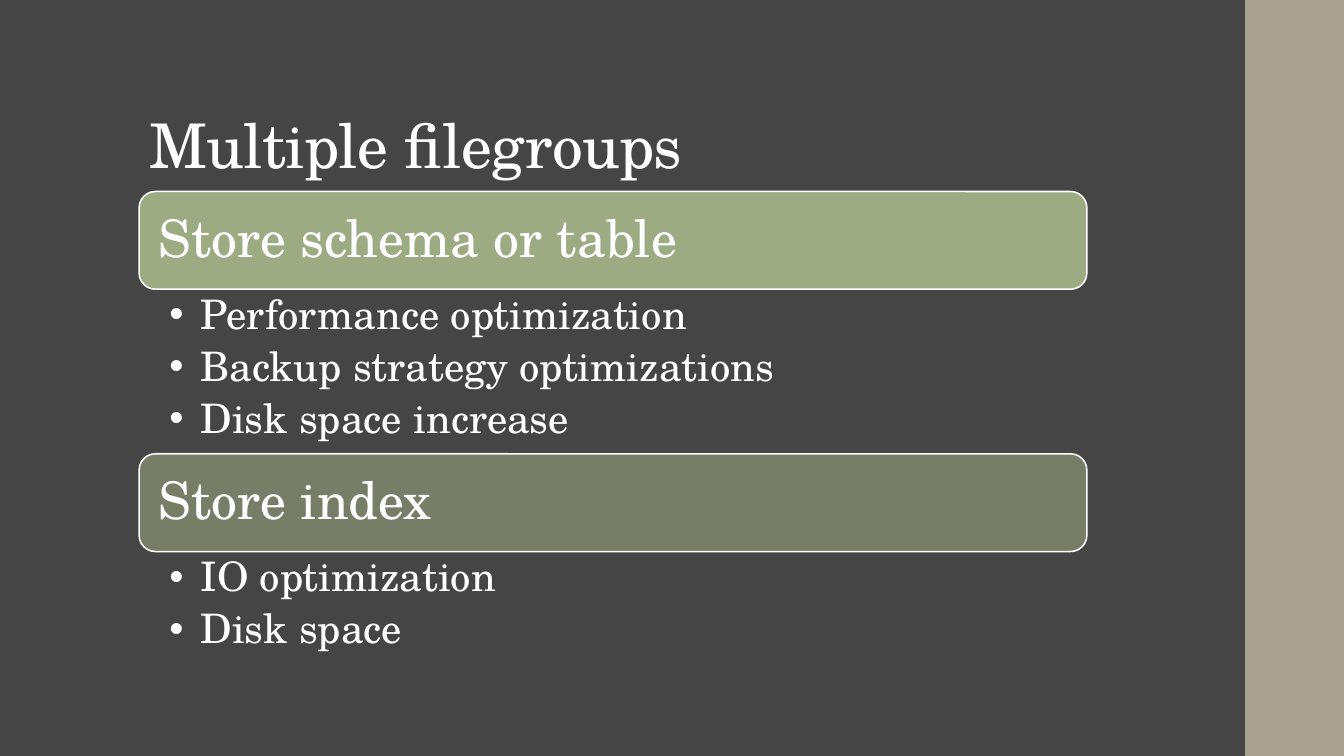
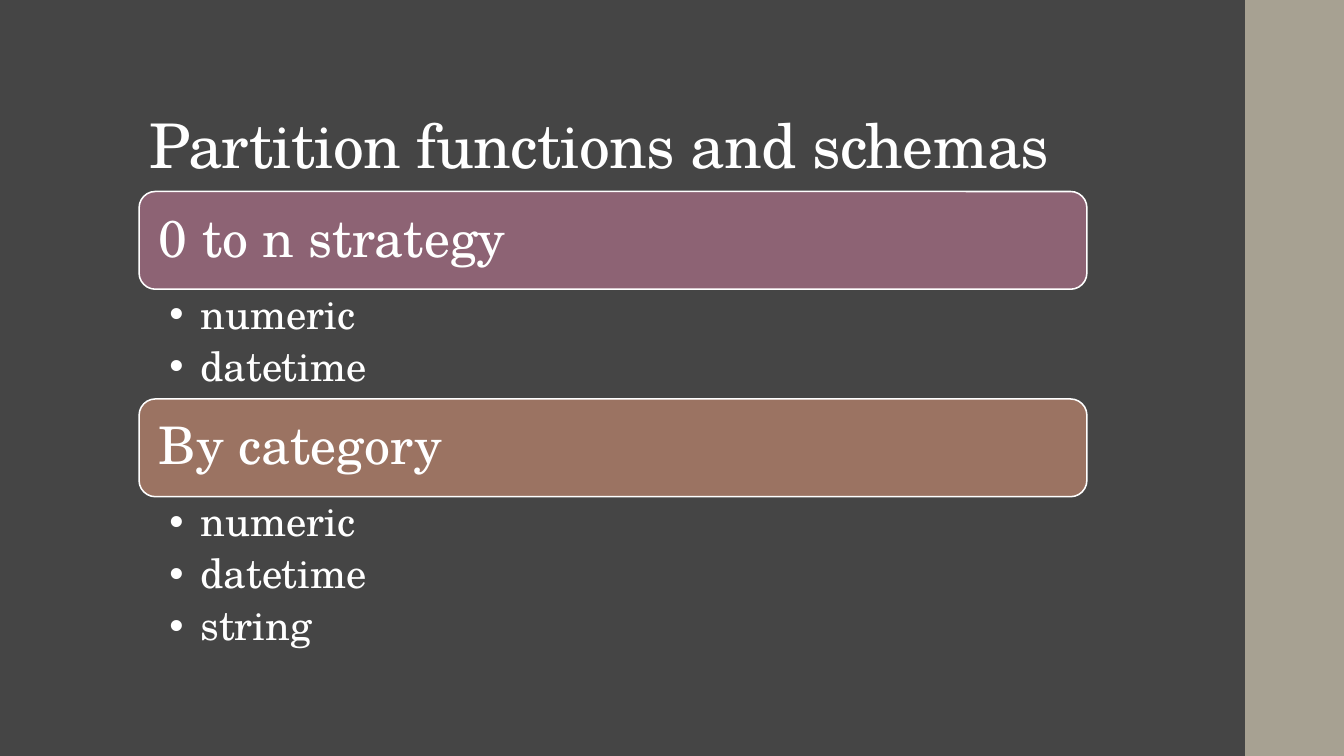
from lxml.etree import SubElement
from pptx import Presentation
from pptx.dml.color import RGBColor
from pptx.enum.shapes import MSO_SHAPE as Preset
from pptx.enum.text import MSO_ANCHOR as Anchor, MSO_AUTO_SIZE as AutoSize, PP_ALIGN as Align
from pptx.oxml.ns import qn
from pptx.util import Inches, Pt

WIDTH, HEIGHT = Inches(13.33), Inches(7.5)
FONT = "TeX Gyre Schola"
WHITE = RGBColor(0xFF, 0xFF, 0xFF)
CHARCOAL = RGBColor(0x45, 0x45, 0x45)
SAND = RGBColor(0xA7, 0xA1, 0x92)
SAGE = RGBColor(0xA7, 0xB7, 0x89)
PLUM = RGBColor(0x8D, 0x63, 0x74)
CLAY = RGBColor(0x9B, 0x73, 0x62)

TITLE_TEXT = {"size": Pt(44), "after": Pt(0)}
HEADING_TEXT = {"size": Pt(37), "after": Pt(13)}
ITEM_TEXT = {"size": Pt(29), "after": Pt(5.8)}

# Each section: heading, fill colour, opacity in percent, list items
SLIDES = [
    ("Multiple filegroups", [
        ("Store schema or table", SAGE, 90,
         ["Performance optimization", "Backup strategy optimizations", "Disk space increase"]),
        ("Store index", SAGE, 50, ["IO optimization", "Disk space"]),
    ]),
    ("Partition functions and schemas", [
        ("0 to n strategy", PLUM, 100, ["numeric", "datetime"]),
        ("By category", CLAY, 100, ["numeric", "datetime", "string"]),
    ]),
]


def across(percent):
    return round(WIDTH * percent / 100)


def down(percent):
    return round(HEIGHT * percent / 100)


LEFT, CONTENT_WIDTH = across(10.35), across(70.52)
TOP, BOTTOM = down(25.33), down(87.47)
HEADING_HEIGHT = down(12.93)


def set_all(target, values):
    for name, value in values.items():
        setattr(target, name, value)


def place(shape, left, top, width, height):
    set_all(shape, {"left": left, "top": top, "width": width, "height": height})


def write(frame, lines, style, anchor, insets):
    """Fill a frame with one paragraph a line; insets run left, top, right, bottom."""
    sides = ("margin_left", "margin_top", "margin_right", "margin_bottom")
    set_all(frame, {"word_wrap": True, "auto_size": AutoSize.NONE, "vertical_anchor": anchor})
    set_all(frame, {side: Inches(inset) for side, inset in zip(sides, insets)})
    frame.text = "\n".join(lines)
    for para in frame.paragraphs:
        set_all(para, {"alignment": Align.LEFT, "line_spacing": 0.9,
                       "space_before": Pt(0), "space_after": style["after"]})
        for span in para.runs:
            set_all(span.font, {"name": FONT, "size": style["size"]})
            span.font.color.rgb = WHITE


def add_box(slide, preset, area, color):
    box = slide.shapes.add_shape(preset, *area)
    box.shadow.inherit = False
    box.fill.solid()
    box.fill.fore_color.rgb = color
    box.line.fill.background()
    return box


def set_opacity(box, percent):
    color = next(box.element.spPr.iter(qn("a:srgbClr")))
    SubElement(color, qn("a:alpha"), val=str(percent * 1000))


def style_layout(deck, layout):
    """Give the layout its background, title place and side band."""
    layout.background.fill.solid()
    layout.background.fill.fore_color.rgb = CHARCOAL
    place(layout.placeholders[0], LEFT, down(5.33), across(79.52), down(19.33))
    first_slide = deck.slides[0]
    band = add_box(first_slide, Preset.RECTANGLE,
                   (across(92.65), 0, WIDTH - across(92.65), HEIGHT), SAND)
    band.element.nvSpPr.cNvPr.set("id", "20")
    layout.placeholders[0].element.addprevious(band.element)


def add_title(slide, title):
    frame = slide.shapes.title.text_frame
    write(frame, [title], TITLE_TEXT, Anchor.BOTTOM, (0.1, 0.05, 0.1, 0.05))
    for span in frame.paragraphs[0].runs:
        span.font.element.set("spc", "-50") if hasattr(span.font, "element") else \
            span._r.get_or_add_rPr().set("spc", "-50")


def add_heading(slide, text, top, color, opacity):
    area = (LEFT, top, CONTENT_WIDTH, HEADING_HEIGHT)
    heading = add_box(slide, Preset.ROUNDED_RECTANGLE, area, color)
    set_opacity(heading, opacity)
    heading.line.color.rgb = WHITE
    heading.line.width = Pt(1.1)
    write(heading.text_frame, [text], HEADING_TEXT, Anchor.MIDDLE, (0.15,) * 4)


def fill_list(body, items, top, height):
    place(body, LEFT, top, CONTENT_WIDTH, height)
    write(body.text_frame, items, ITEM_TEXT, Anchor.TOP, (0.3, 0.05, 0.29, 0.05))
    for para in body.text_frame.paragraphs:
        properties = para._p.get_or_add_pPr()
        properties.set("marL", str(Inches(0.31)))
        properties.set("indent", str(-Inches(0.31)))


def add_sections(slide, sections):
    """Stack headings and lists; the items share the height the headings leave."""
    item_count = sum(len(items) for *_, items in sections)
    item_height = (BOTTOM - TOP - len(sections) * HEADING_HEIGHT) // item_count
    bodies = list(slide.placeholders)[1:]
    top = TOP
    for body, (heading, color, opacity, items) in zip(bodies, sections):
        add_heading(slide, heading, top, color, opacity)
        top += HEADING_HEIGHT
        list_height = item_height * len(items)
        fill_list(body, items, top, list_height)
        top += list_height


def main():
    deck = Presentation()
    set_all(deck, {"slide_width": WIDTH, "slide_height": HEIGHT})
    layout = deck.slide_layouts.get_by_name("Two Content")
    for title, sections in SLIDES:
        slide = deck.slides.add_slide(layout)
        add_title(slide, title)
        add_sections(slide, sections)
    style_layout(deck, layout)
    deck.save("out.pptx")


if __name__ == "__main__":
    main()
